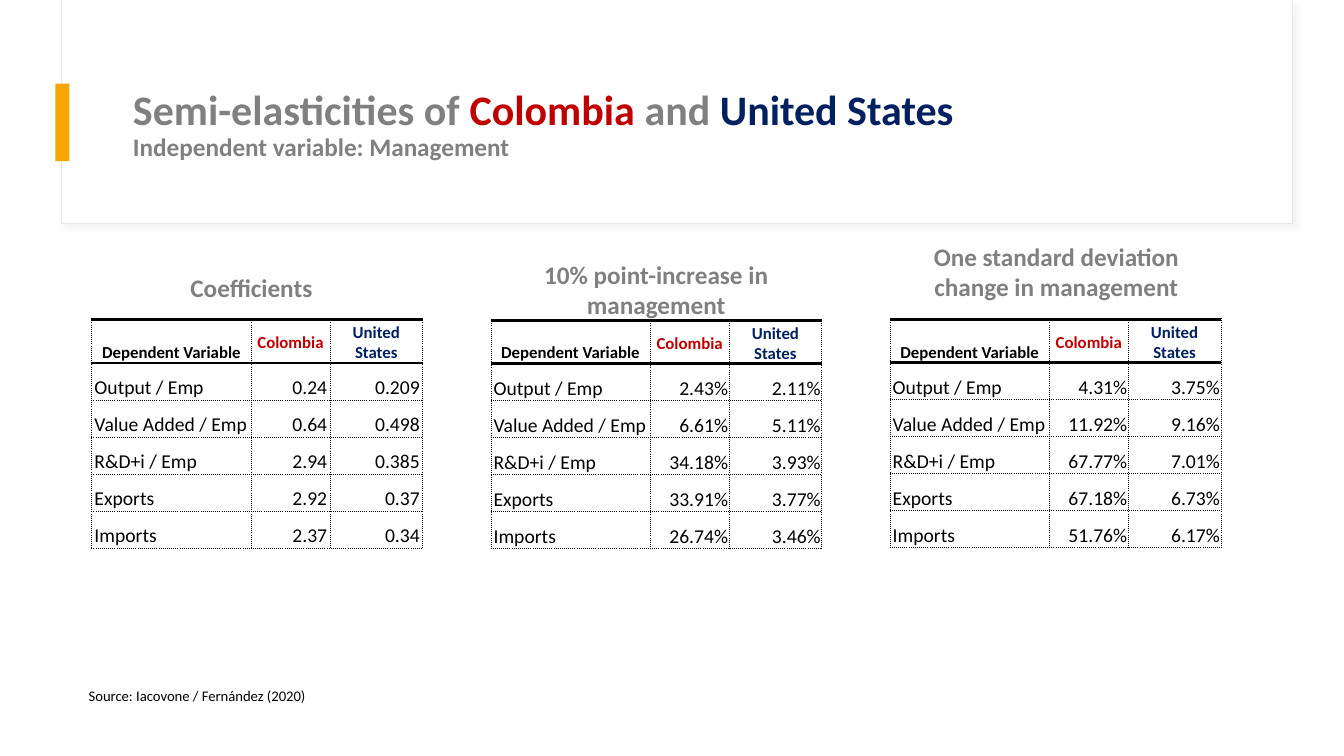
from lxml.etree import SubElement
from pptx import Presentation
from pptx.dml.color import RGBColor
from pptx.enum.shapes import MSO_SHAPE
from pptx.enum.text import MSO_ANCHOR, MSO_AUTO_SIZE, PP_ALIGN
from pptx.oxml import parse_xml
from pptx.oxml.ns import nsdecls, qn
from pptx.util import Pt

WHITE = RGBColor(0xFF, 0xFF, 0xFF)
BLACK = RGBColor(0x00, 0x00, 0x00)
GREY = RGBColor(0x80, 0x80, 0x80)
PALE_GREY = RGBColor(0xE9, 0xE9, 0xE9)
SHADOW_GREY = RGBColor(0xD9, 0xD9, 0xD9)
RED = RGBColor(0xC0, 0x00, 0x00)
NAVY = RGBColor(0x00, 0x20, 0x60)
AMBER = RGBColor(0xF5, 0xA7, 0x00)

HEADERS = [
    ("Dependent Variable", BLACK, MSO_ANCHOR.BOTTOM),
    ("Colombia", RED, MSO_ANCHOR.MIDDLE),
    ("United States", NAVY, MSO_ANCHOR.BOTTOM),
]
VARIABLES = ["Output / Emp", "Value Added / Emp", "R&D+i / Emp", "Exports", "Imports"]
COLUMN_WIDTHS = [113.9, 56.3, 66.2]
ROW_HEIGHT = 26.4
TABLE_LEFT, TABLE_STEP = 65.5, 285.1

# Heading, its box, table top, inset of the figures, Colombia and United States
PANELS = [
    ("Coefficients", (94.3, 190.8, 170.6, 29.1), 228.2, 2,
     ["0.24", "0.64", "2.94", "2.92", "2.37"],
     ["0.209", "0.498", "0.385", "0.37", "0.34"]),
    ("10% point-increase in management", (337.7, 181.4, 262.1, 50.9), 228.8, 0.7,
     ["2.43%", "6.61%", "34.18%", "33.91%", "26.74%"],
     ["2.11%", "5.11%", "3.93%", "3.77%", "3.46%"]),
    ("One standard deviation change in management", (636.5, 169, 236.2, 50.9), 228.2, 0.7,
     ["4.31%", "11.92%", "67.77%", "67.18%", "51.76%"],
     ["3.75%", "9.16%", "7.01%", "6.73%", "6.17%"]),
]


class SlideBuilder:
    def __init__(self, slide, font_name="Calibri"):
        self.slide = slide
        self.font_name = font_name

    def style(self, font, size, color, bold=False):
        font.name, font.size, font.bold = self.font_name, Pt(size), bold
        font.color.rgb = color

    def rectangle(self, left, top, width, height, fill, line=None):
        shape = self.slide.shapes.add_shape(
            MSO_SHAPE.RECTANGLE, Pt(left), Pt(top), Pt(width), Pt(height))
        shape.shadow.inherit = False
        shape.fill.solid()
        shape.fill.fore_color.rgb = fill
        if line is None:
            shape.line.fill.background()
        else:
            shape.line.color.rgb = line
            shape.line.width = Pt(0.75)
        return shape

    def cast_shadow(self, shape):
        effects = shape.element.spPr.find(qn("a:effectLst"))
        shadow = SubElement(effects, qn("a:outerShdw"), blurRad=str(Pt(4)),
                            dist=str(Pt(3)), dir="2700000", algn="tl", rotWithShape="0")
        color = SubElement(shadow, qn("a:srgbClr"), val=str(SHADOW_GREY))
        SubElement(color, qn("a:alpha"), val="30000")

    def title(self, left, top, width, height, runs):
        """Fill the title; the last run goes on a line of its own."""
        title = self.slide.shapes.title
        title.element.getparent().append(title.element)
        title.left, title.top = Pt(left), Pt(top)
        title.width, title.height = Pt(width), Pt(height)
        frame = title.text_frame
        frame.auto_size = MSO_AUTO_SIZE.NONE
        frame.word_wrap = True
        frame.vertical_anchor = MSO_ANCHOR.MIDDLE
        paragraph = frame.paragraphs[0]
        paragraph.alignment = PP_ALIGN.LEFT
        paragraph.line_spacing = 0.9
        self.style(paragraph.font, 30, GREY, True)
        for index, (text, size, color) in enumerate(runs):
            if index == len(runs) - 1:
                paragraph.add_line_break()
            run = paragraph.add_run()
            run.text = text
            self.style(run.font, size, color, True)

    def text(self, box, text, size, color, bold=False, align=PP_ALIGN.LEFT, wrap=True):
        shape = self.slide.shapes.add_textbox(*map(Pt, box))
        frame = shape.text_frame
        frame.word_wrap = wrap
        frame.auto_size = MSO_AUTO_SIZE.SHAPE_TO_FIT_TEXT
        paragraph = frame.paragraphs[0]
        paragraph.text = text
        paragraph.alignment = align
        self.style(paragraph.font, size, color, bold)

    def borders(self, cell, thick_sides):
        properties = cell._tc.get_or_add_tcPr()
        for index, side in enumerate("LRTB"):
            thick = side in thick_sides
            width, dash = (2, "solid") if thick else (0.5, "sysDot")
            properties.insert(index, parse_xml(
                f'<a:ln{side} {nsdecls("a")} w="{Pt(width)}"><a:solidFill>'
                f'<a:srgbClr val="{BLACK}"/></a:solidFill>'
                f'<a:prstDash val="{dash}"/></a:ln{side}>'))

    def cell(self, cell, text, size, color, bold, align, anchor, inset, thick_sides):
        cell.fill.background()
        cell.margin_left = cell.margin_right = cell.margin_top = Pt(inset)
        cell.margin_bottom = 0
        cell.vertical_anchor = anchor
        paragraph = cell.text_frame.paragraphs[0]
        paragraph.text = text
        paragraph.alignment = align
        self.style(paragraph.font, size, color, bold)
        self.borders(cell, thick_sides)

    def table(self, left, top, rows, figure_inset):
        row_count = len(rows) + 1
        table = self.slide.shapes.add_table(
            row_count, len(HEADERS), Pt(left), Pt(top),
            Pt(sum(COLUMN_WIDTHS)), Pt(ROW_HEIGHT * row_count)).table
        table.first_row = table.horz_banding = False
        for column, width in zip(table.columns, COLUMN_WIDTHS):
            column.width = Pt(width)
        for row in table.rows:
            row.height = Pt(ROW_HEIGHT)
        for index, (text, color, anchor) in enumerate(HEADERS):
            self.cell(table.cell(0, index), text, 12, color, True,
                      PP_ALIGN.CENTER, anchor, 2, "TB")
        for row_index, values in enumerate(rows, 1):
            for index, text in enumerate(values):
                align, inset = (PP_ALIGN.RIGHT, figure_inset) if index else (PP_ALIGN.LEFT, 2)
                self.cell(table.cell(row_index, index), text, 14, BLACK, False, align,
                          MSO_ANCHOR.BOTTOM, inset, "T" if row_index == 1 else "")


def main():
    presentation = Presentation()
    presentation.slide_width, presentation.slide_height = Pt(960), Pt(540)
    builder = SlideBuilder(presentation.slides.add_slide(presentation.slide_layouts[5]))

    header = builder.rectangle(43.9, 0.7, 879.1, 159.1, WHITE, PALE_GREY)
    builder.cast_shadow(header)
    builder.rectangle(44.6, 0, 878.4, 158.4, WHITE)
    builder.title(87.8, 43.2, 800.6, 92.9, [
        ("Semi-elasticities of ", 30, GREY),
        ("Colombia", 30, RED),
        (" and ", 30, GREY),
        ("United States", 30, NAVY),
        ("Independent variable: Management", 18, GREY),
    ])
    builder.rectangle(39.6, 59.8, 10.1, 55.4, AMBER)

    for index, (heading, box, top, inset, colombia, united_states) in enumerate(PANELS):
        rows = list(zip(VARIABLES, colombia, united_states))
        builder.table(TABLE_LEFT + index * TABLE_STEP, top, rows, inset)
        builder.text(box, heading, 18, GREY, True, PP_ALIGN.CENTER)

    builder.text((56.2, 486.7, 195.1, 20.2), "Source: Iacovone / Fernández (2020)",
                 10.5, BLACK, wrap=False)
    presentation.save("out.pptx")


if __name__ == "__main__":
    main()
